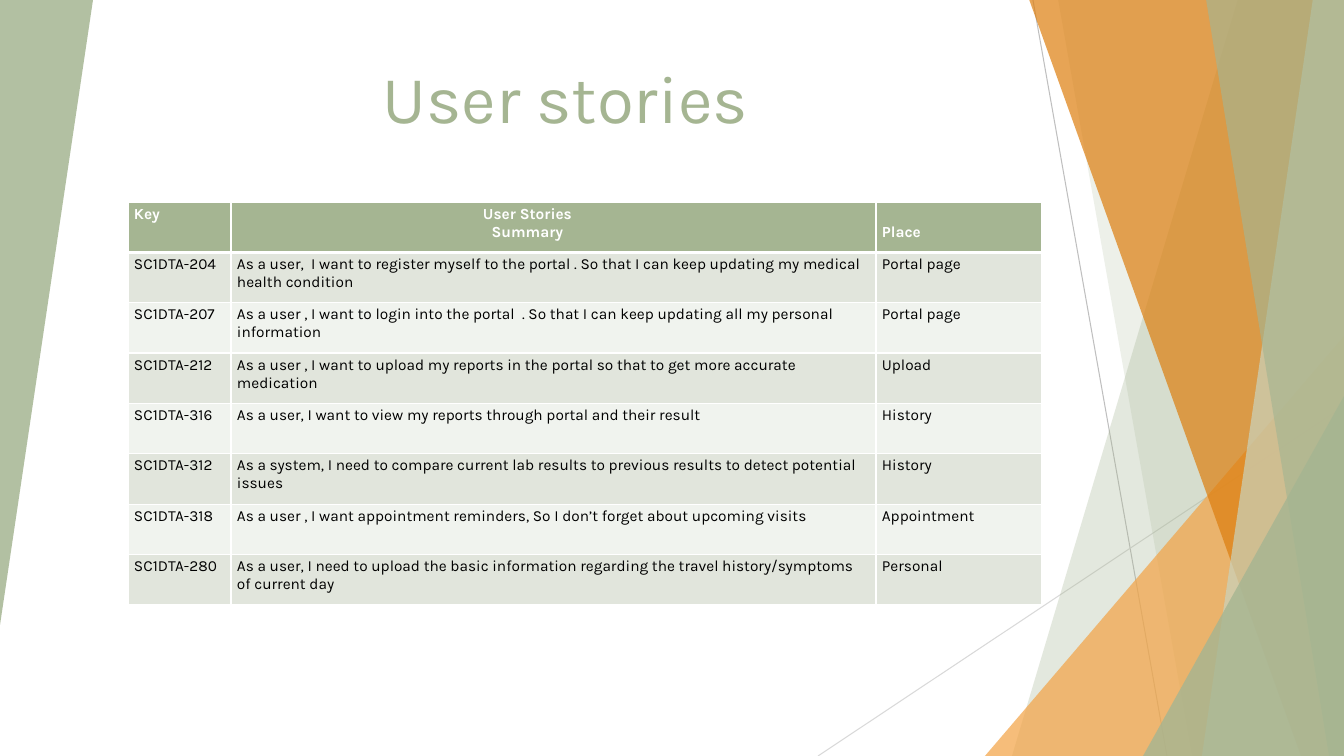
from dataclasses import dataclass

from lxml.etree import SubElement
from pptx import Presentation
from pptx.dml.color import RGBColor
from pptx.enum.shapes import MSO_CONNECTOR, MSO_SHAPE
from pptx.enum.text import MSO_ANCHOR, MSO_AUTO_SIZE, PP_ALIGN
from pptx.oxml.ns import qn
from pptx.util import Emu, Pt

WIDTH, HEIGHT = 1344, 756
EMU_PER_PX = 914400 / 100.8


def px(length):
    return Emu(round(length * EMU_PER_PX))


@dataclass(frozen=True)
class Theme:
    font: str = "Karla"
    title_size: int = 48
    table_size: int = 11
    sage: str = "A5B592"
    pale_sage: str = "C9D3BE"
    orange: str = "F3A447"
    dark_orange: str = "DD7E0E"
    steep_line: str = "BFBFBF"
    shallow_line: str = "D9D9D9"
    odd_row: str = "E1E5DC"
    even_row: str = "F0F3EE"
    white: str = "FFFFFF"
    black: str = "000000"


class StorySlide:
    def __init__(self, presentation, theme):
        self.theme = theme
        self.slide = presentation.slides.add_slide(presentation.slide_layouts[5])
        self.shapes = self.slide.shapes

    def style_text(self, paragraph, size, color, bold=False):
        for run in paragraph.runs:
            run.font.name = self.theme.font
            run.font.size = Pt(size)
            run.font.bold = bold
            run.font.color.rgb = RGBColor.from_string(color)

    def title(self, wording, left, top, width, height):
        heading = self.shapes.title
        heading.left, heading.top = px(left), px(top)
        heading.width, heading.height = px(width), px(height)
        frame = heading.text_frame
        frame.text = wording
        frame.word_wrap = True
        frame.auto_size = MSO_AUTO_SIZE.NONE
        frame.vertical_anchor = MSO_ANCHOR.BOTTOM
        frame.paragraphs[0].alignment = PP_ALIGN.CENTER
        self.style_text(frame.paragraphs[0], self.theme.title_size, self.theme.sage)

    def line(self, start, end, color):
        ray = self.shapes.add_connector(
            MSO_CONNECTOR.STRAIGHT, *map(px, start), *map(px, end))
        ray.line.color.rgb = RGBColor.from_string(color)
        ray.line.width = Pt(0.75)
        SubElement(ray._element.spPr, qn("a:effectLst"))

    def tint(self, facet, color, opacity):
        facet.shadow.inherit = False
        facet.line.fill.background()
        facet.fill.solid()
        facet.fill.fore_color.rgb = RGBColor.from_string(color)
        color_node = facet._element.spPr.find(qn("a:solidFill"))[0]
        SubElement(color_node, qn("a:alpha"), val=str(opacity * 1000))

    def band(self, top_x, bottom_x, color, opacity):
        outline = self.shapes.build_freeform(top_x, -1, scale=EMU_PER_PX)
        outline.add_line_segments(
            [(WIDTH, -1), (WIDTH, HEIGHT), (bottom_x, HEIGHT)], close=True)
        self.tint(outline.convert_to_shape(), color, opacity)

    def triangle(self, left, top, width, height, color, opacity, rotation=0):
        corner = self.shapes.add_shape(
            MSO_SHAPE.ISOSCELES_TRIANGLE, px(left), px(top), px(width), px(height))
        corner.adjustments[0] = 1
        corner.rotation = rotation
        self.tint(corner, color, opacity)

    def borders(self, cell, header):
        properties = cell._tc.get_or_add_tcPr()
        for side in ("lnL", "lnR", "lnT", "lnB"):
            points = 3 if header and side == "lnB" else 1
            edge = SubElement(properties, qn(f"a:{side}"), w=str(Pt(points)))
            fill = SubElement(edge, qn("a:solidFill"))
            SubElement(fill, qn("a:srgbClr"), val=self.theme.white)

    def cell(self, cell, wording, row_number):
        theme = self.theme
        header = row_number == 0
        cell.text = wording
        cell.margin_left = cell.margin_right = px(6)
        cell.margin_top = cell.margin_bottom = px(3)
        self.borders(cell, header)
        row_color = theme.odd_row if row_number % 2 else theme.even_row
        cell.fill.solid()
        cell.fill.fore_color.rgb = RGBColor.from_string(
            theme.sage if header else row_color)
        for paragraph in cell.text_frame.paragraphs:
            self.style_text(paragraph, theme.table_size,
                            theme.white if header else theme.black, header)

    def table(self, rows, left, top, column_widths, height):
        grid = self.shapes.add_table(
            len(rows), len(column_widths), px(left), px(top),
            px(sum(column_widths)), px(height)).table
        for column, width in zip(grid.columns, column_widths):
            column.width = px(width)
        for row_number, row in enumerate(rows):
            for column_number, wording in enumerate(row):
                self.cell(grid.cell(row_number, column_number), wording, row_number)
        return grid


STORIES = [
    ("Key", "User Stories\nSummary", "Place"),
    ("SC1DTA-204", "As a user,  I want to register myself to the portal . So that I can "
     "keep updating my medical health condition", "Portal page"),
    ("SC1DTA-207", "As a user , I want to login into the portal  . So that I can "
     "keep updating all my personal information", "Portal page"),
    ("SC1DTA-212", "As a user , I want to upload my reports in the portal so that "
     "to get more accurate medication", "Upload"),
    ("SC1DTA-316", "As a user, I want to view my reports through portal and their result",
     "History"),
    ("SC1DTA-312", "As a system, I need to compare current lab results to previous "
     "results to detect potential issues", "History"),
    ("SC1DTA-318", "As a user , I want appointment reminders, So I don’t forget about "
     "upcoming visits", "Appointment"),
    ("SC1DTA-280", "As a user, I need to upload the basic information regarding the "
     "travel history/symptoms of current day", "Personal"),
]


def draw_backdrop(page, theme):
    page.line((1033, 0), (1167, HEIGHT), theme.steep_line)
    page.line((WIDTH, 406), (818, HEIGHT), theme.shallow_line)
    page.band(1238, 1012, theme.sage, 30)
    page.band(1058, 1192, theme.sage, 20)
    page.triangle(985, 336, 359, 420, theme.orange, 72)
    page.band(1029, 1301, theme.dark_orange, 70)
    page.band(1313, 1202, theme.pale_sage, 70)
    page.band(1206, 1329, theme.sage, 65)
    page.triangle(1143, 396, 201, 360, theme.sage, 80)
    page.triangle(0, 0, 93, 625, theme.sage, 85, rotation=180)


def draw_stories(page):
    stories = page.table(STORIES, 128, 202, (103, 645, 166), 403)
    summary_heading, place_heading = stories.cell(0, 1), stories.cell(0, 2)
    summary_heading.margin_right = px(58)
    for paragraph in summary_heading.text_frame.paragraphs:
        paragraph.alignment = PP_ALIGN.CENTER
    place_heading.margin_top = px(21)


def main():
    presentation = Presentation()
    presentation.slide_width, presentation.slide_height = px(WIDTH), px(HEIGHT)
    theme = Theme()
    page = StorySlide(presentation, theme)
    draw_backdrop(page, theme)
    page.title("User stories", 109, 21, 913, 121)
    draw_stories(page)
    presentation.save("out.pptx")


if __name__ == "__main__":
    main()
